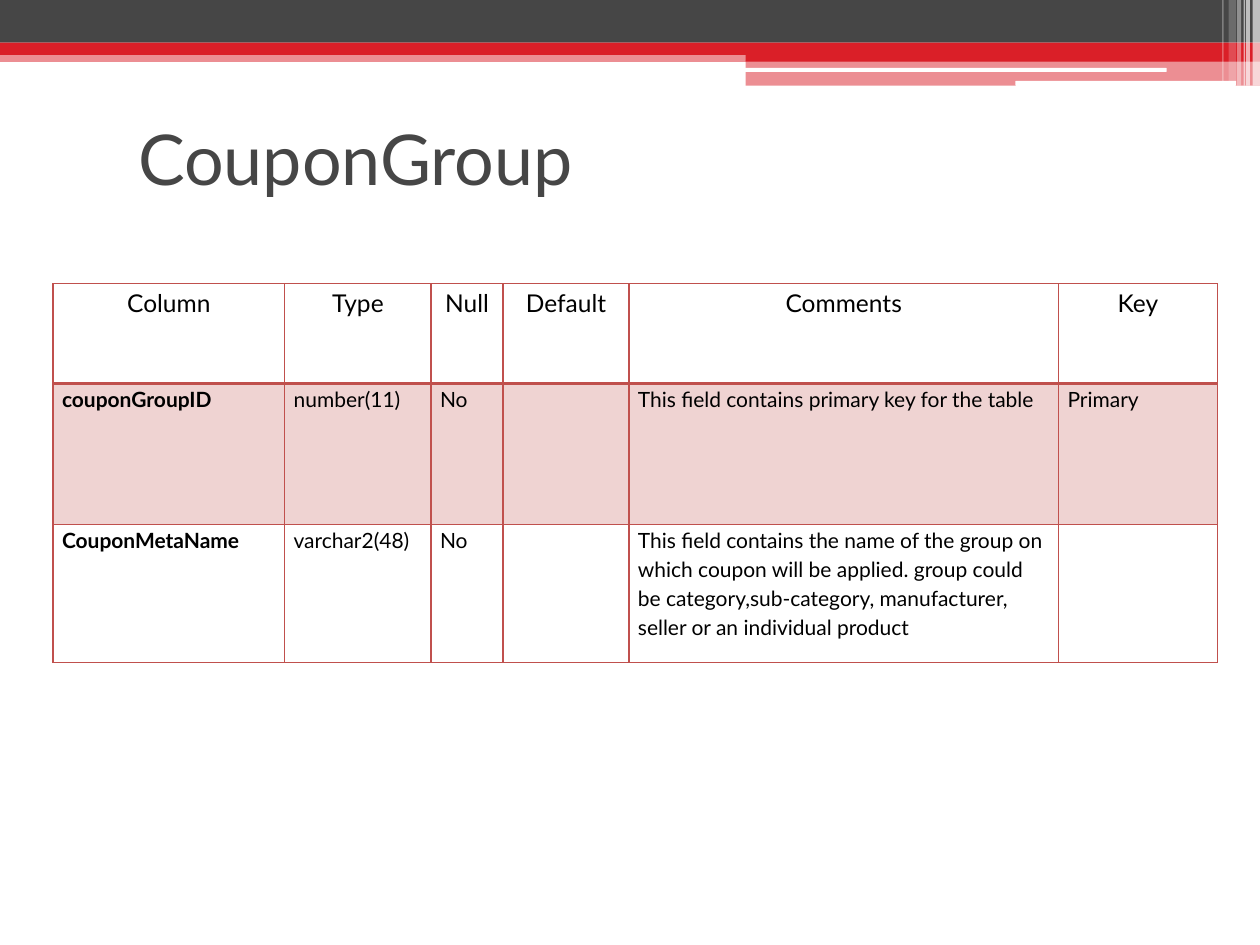
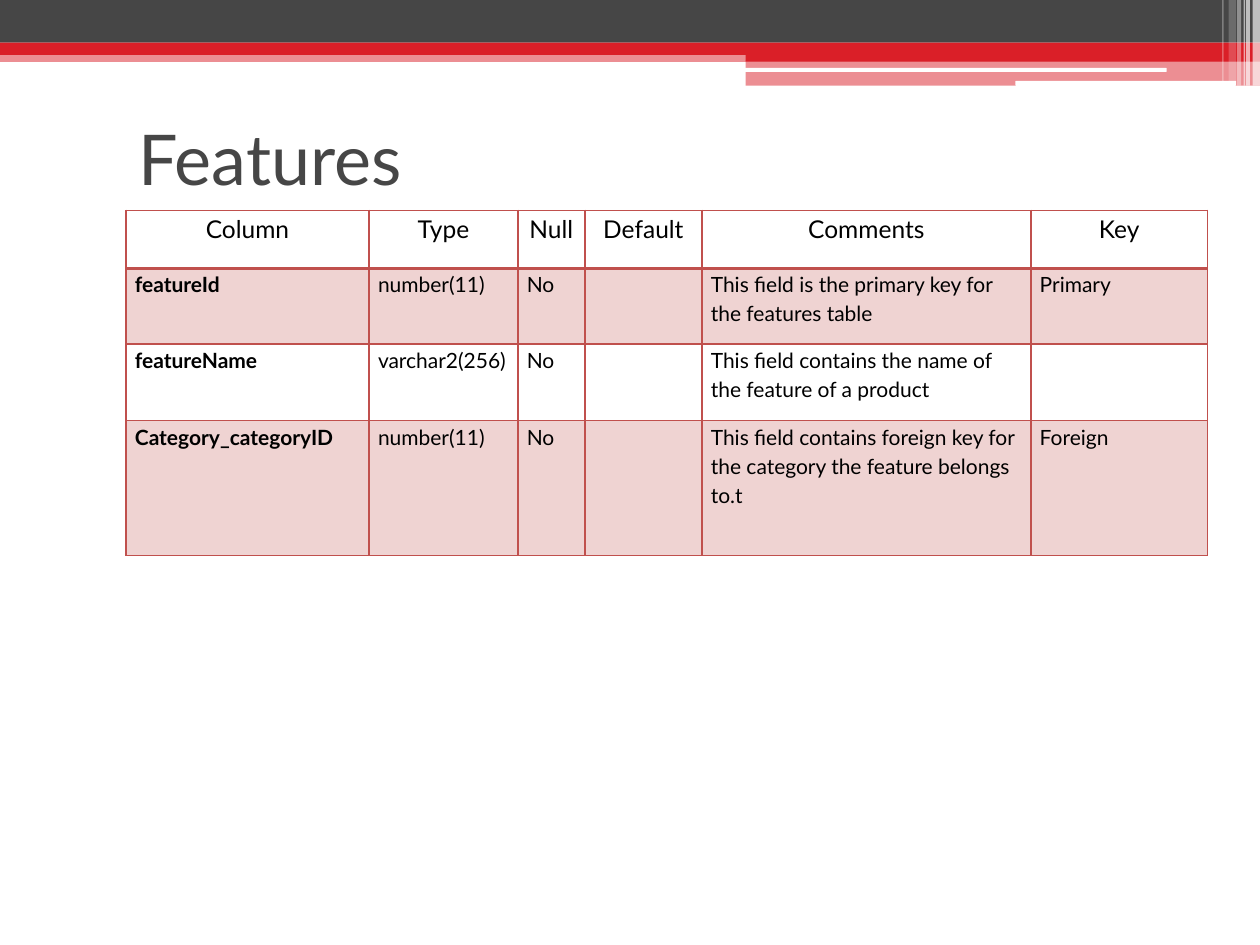
import lxml.etree
import pptx
import pptx.dml.color
import pptx.enum.shapes
import pptx.enum.text
import pptx.oxml.ns
import pptx.util

Cm = pptx.util.Cm
Pt = pptx.util.Pt
RGBColor = pptx.dml.color.RGBColor
qn = pptx.oxml.ns.qn
MSO_SHAPE = pptx.enum.shapes.MSO_SHAPE
PP_ALIGN = pptx.enum.text.PP_ALIGN

RED = RGBColor(0xDA, 0x1F, 0x28)
DARK_GRAY = RGBColor(0x46, 0x46, 0x46)
WHITE = RGBColor(0xFF, 0xFF, 0xFF)
BLACK = RGBColor(0x00, 0x00, 0x00)
BORDER = RGBColor(0xC0, 0x50, 0x4D)
ROW_TINT = RGBColor(0xEF, 0xD3, 0xD2)

FONT = "Lato"
THIN, THICK = 1, 2.25
HEADINGS = ("Column", "Type", "Null", "Default", "Comments", "Key")

BANDS = (
    (0, 1.02, 25.4, 0.23, RED, 50),
    (0, 0, 25.4, 0.86, DARK_GRAY, 100),
    (0, 0.86, 25.4, 0.25, RED, 100),
    (15.03, 0.99, 10.37, 0.25, RED, 100),
    (15.03, 1.22, 10.37, 0.51, RED, 50),
)
ROUNDED_LINES = ((15.01, 1.37, 8.51, 0.08), (20.47, 1.63, 4.45, 0.1))
STRIPES = (
    (25.25, 0.15, 1.73, 65),
    (25.12, 0.08, 1.73, 65),
    (25.07, 0.03, 1.73, 60),
    (24.94, 0.08, 1.73, 40),
    (24.77, 0.15, 1.63, 20),
    (24.64, 0.03, 1.63, 30),
)


class SchemaDeck:
    """Draw database schema slides in one shared style."""

    def __init__(self):
        self.presentation = pptx.Presentation()
        self.presentation.slide_width = Cm(25.4)
        self.presentation.slide_height = Cm(19.05)
        self.slide = None

    def add_slide(self, title):
        layout = self.presentation.slide_layouts[6]
        self.slide = self.presentation.slides.add_slide(layout)
        for left, top, width, height, color, opacity in BANDS:
            self.add_band(left, top, width, height, color, opacity)
        for left, top, width, height in ROUNDED_LINES:
            self.add_band(left, top, width, height, WHITE, kind=MSO_SHAPE.ROUNDED_RECTANGLE)
        for left, width, height, opacity in STRIPES:
            self.add_band(left, 0, width, height, WHITE, opacity)
        self.add_title(title)

    def add_band(self, left, top, width, height, color, opacity=100, kind=MSO_SHAPE.RECTANGLE):
        shape = self.slide.shapes.add_shape(kind, Cm(left), Cm(top), Cm(width), Cm(height))
        shape.shadow.inherit = False
        shape.line.fill.background()
        shape.fill.solid()
        shape.fill.fore_color.rgb = color
        if opacity < 100:
            fill_color = shape.element.spPr.find(qn("a:solidFill")).find(qn("a:srgbClr"))
            lxml.etree.SubElement(fill_color, qn("a:alpha"), val=str(opacity * 1000))

    def add_title(self, text):
        box = self.slide.shapes.add_textbox(Cm(2.54), Cm(1.7), Cm(22.86), Cm(2.97))
        frame = box.text_frame
        frame.word_wrap = True
        frame.vertical_anchor = pptx.enum.text.MSO_ANCHOR.MIDDLE
        paragraph = frame.paragraphs[0]
        paragraph.text = text
        self.set_font(paragraph, 40, DARK_GRAY)

    def set_font(self, paragraph, size, color, bold=False):
        paragraph.font.name = FONT
        paragraph.font.size = Pt(size)
        paragraph.font.bold = bold
        paragraph.font.color.rgb = color

    def add_table(self, left, top, widths, heights, records):
        frame = self.slide.shapes.add_table(
            len(heights), len(widths), Cm(left), Cm(top), Cm(sum(widths)), Cm(sum(heights))
        )
        table = frame.table
        table.first_row = False
        table.horz_banding = False
        for column, width in zip(table.columns, widths):
            column.width = Cm(width)
        for row, height in zip(table.rows, heights):
            row.height = Cm(height)
        for row_index, record in enumerate((HEADINGS, *records)):
            for column_index, text in enumerate(record):
                self.fill_cell(table.cell(row_index, column_index), text, row_index, column_index)

    def fill_cell(self, cell, text, row_index, column_index):
        is_heading = row_index == 0
        cell.margin_left = cell.margin_right = Cm(0.18)
        cell.margin_top = cell.margin_bottom = 0
        paragraph = cell.text_frame.paragraphs[0]
        paragraph.text = text
        paragraph.line_spacing = 1.15
        paragraph.alignment = PP_ALIGN.CENTER if is_heading else PP_ALIGN.LEFT
        bold = column_index == 0 and not is_heading
        self.set_font(paragraph, 14 if is_heading else 12, BLACK, bold)
        if row_index % 2:
            cell.fill.solid()
            cell.fill.fore_color.rgb = ROW_TINT
        else:
            cell.fill.background()
        self.set_borders(
            cell,
            top=THICK if row_index == 1 else THIN,
            bottom=THICK if is_heading else THIN,
        )

    def set_borders(self, cell, top, bottom):
        properties = cell._tc.get_or_add_tcPr()
        sides = (("a:lnL", THIN), ("a:lnR", THIN), ("a:lnT", top), ("a:lnB", bottom))
        for position, (side, width) in enumerate(sides):
            line = lxml.etree.Element(qn(side), w=str(Pt(width)))
            fill = lxml.etree.SubElement(line, qn("a:solidFill"))
            lxml.etree.SubElement(fill, qn("a:srgbClr"), val=str(BORDER))
            properties.insert(position, line)


def main():
    deck = SchemaDeck()

    deck.add_slide("CouponGroup")
    deck.add_table(
        1.07,
        5.72,
        widths=(4.67, 2.95, 1.45, 2.54, 8.66, 3.2),
        heights=(2.01, 2.84, 2.79),
        records=(
            ("couponGroupID", "number(11)", "No", "",
             "This field contains primary key for the table", "Primary"),
            ("CouponMetaName", "varchar2(48)", "No", "",
             "This field contains the name of the group on which coupon will be applied. "
             "group could be category,sub-category, manufacturer, seller or an individual product",
             ""),
        ),
    )

    deck.add_slide("Features")
    deck.add_table(
        2.54,
        4.24,
        widths=(4.9, 3.0, 1.35, 2.36, 6.63, 3.56),
        heights=(1.17, 1.52, 1.55, 2.72),
        records=(
            ("featureId", "number(11)", "No", "",
             "This field is the primary key for the features table", "Primary"),
            ("featureName", "varchar2(256)", "No", "",
             "This field contains the name of the feature of a product", ""),
            ("Category_categoryID", "number(11)", "No", "",
             "This field contains foreign key for the category the feature belongs to.t",
             "Foreign"),
        ),
    )

    deck.presentation.save("out.pptx")


if __name__ == "__main__":
    main()
